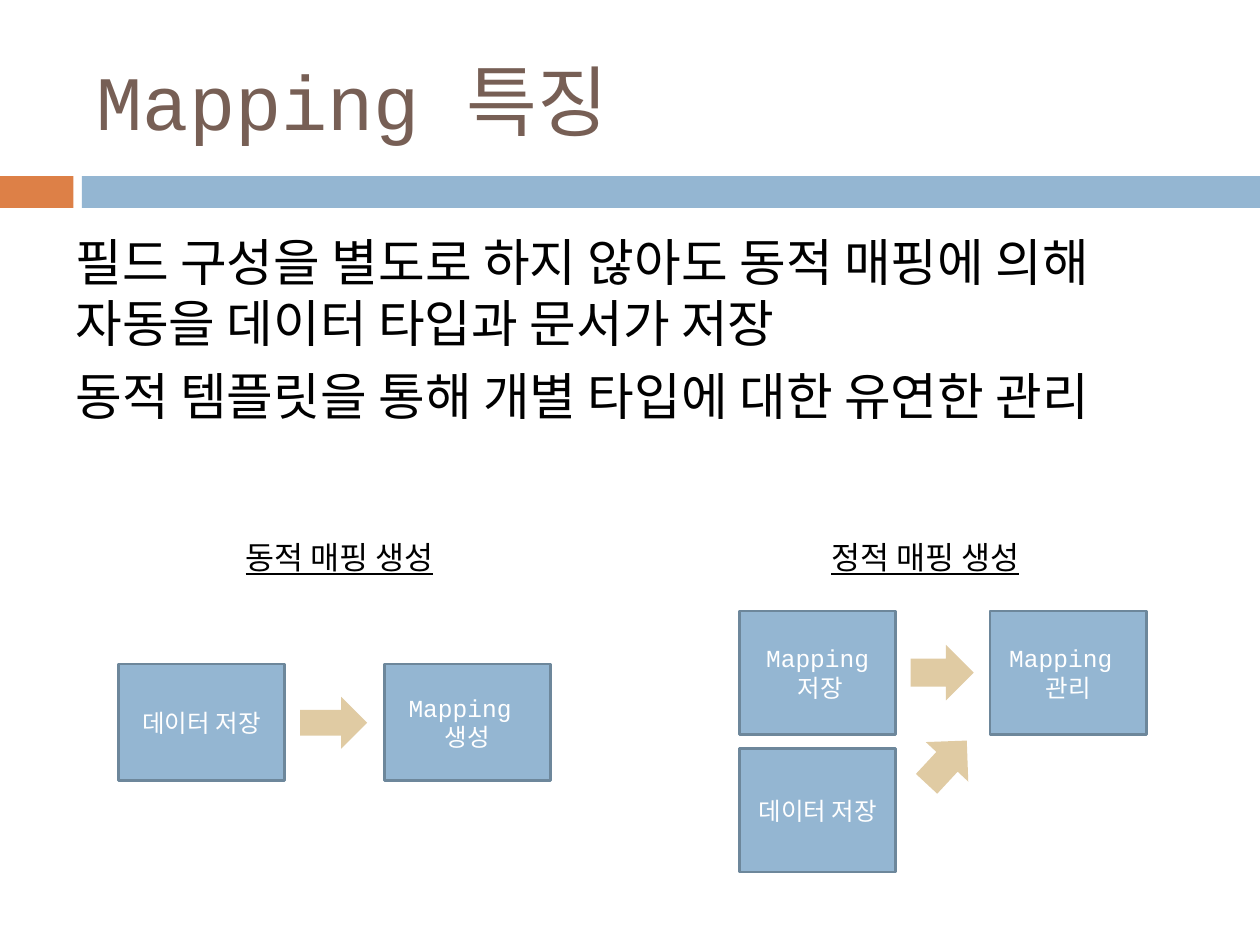
from dataclasses import dataclass
from typing import Any

from pptx import Presentation
from pptx import util as u
from pptx.dml.color import RGBColor
from pptx.enum import shapes, text


def rgb(value):
    return RGBColor.from_string(value)


@dataclass
class Deck:
    """Hold the style and the current slide, and draw each kind of element."""

    s: Any
    font: str = "Courier New"
    blue: str = "94B6D2"
    edge: str = "6D879B"
    orange: str = "DD8047"
    sand: str = "E0CBA3"
    brown: str = "775F55"

    def set_text(self, sp, lines, size, color, align, anchor, before=0, underline=None):
        tf = sp.text_frame
        tf.word_wrap = True
        tf.vertical_anchor = anchor
        for i, line in enumerate(lines):
            p = tf.paragraphs[0] if i == 0 else tf.add_paragraph()
            p.text = line
            p.alignment = align
            p.space_before = u.Pt(before)
            p.font.name = self.font
            p.font.size = u.Pt(size)
            p.font.underline = underline
            p.font.color.rgb = rgb(color)

    def shape(self, parent, kind, at, fill):
        sp = parent.shapes.add_shape(kind, *map(u.Cm, at))
        sp.shadow.inherit = False
        sp.fill.solid()
        sp.fill.fore_color.rgb = rgb(fill)
        sp.line.fill.background()
        return sp

    def bar(self, at, fill):
        self.shape(self.s, shapes.MSO_SHAPE.RECTANGLE, at, fill)

    def box(self, group, at, lines):
        sp = self.shape(group, shapes.MSO_SHAPE.RECTANGLE, at, self.blue)
        sp.line.color.rgb = rgb(self.edge)
        sp.line.width = u.Pt(1.5)
        self.set_text(sp, lines, 14, "FFFFFF", text.PP_ALIGN.CENTER, text.MSO_ANCHOR.MIDDLE)

    def arrow(self, group, at, rotation=0):
        sp = self.shape(group, shapes.MSO_SHAPE.RIGHT_ARROW, at, self.sand)
        sp.rotation = rotation

    def label(self, at, lines, size, color="000000", align=text.PP_ALIGN.LEFT,
              anchor=text.MSO_ANCHOR.TOP, **style):
        sp = self.s.shapes.add_textbox(*map(u.Cm, at))
        self.set_text(sp, lines, size, color, align, anchor, **style)

    def caption(self, left, line):
        self.label((left, 10.72, 5.31, 1.02), [line], 18,
                   align=text.PP_ALIGN.CENTER, underline=True)

    def group(self):
        return self.s.shapes.add_group_shape()


def main():
    prs = Presentation()
    prs.slide_width, prs.slide_height = u.Cm(25.4), u.Cm(19.05)
    d = Deck(prs.slides.add_slide(prs.slide_layouts[6]))

    d.bar((0, 3.55, 1.48, 0.64), d.orange)
    d.bar((1.65, 3.55, 23.75, 0.64), d.blue)
    d.label((1.7, 0.64, 22.66, 2.74), ["Mapping 특징"], 44, d.brown,
            anchor=text.MSO_ANCHOR.MIDDLE)
    d.label((1.27, 4.52, 22.86, 5.59),
            ["필드 구성을 별도로 하지 않아도 동적 매핑에 의해 자동을 데이터 타입과 문서가 저장",
             "동적 템플릿을 통해 개별 타입에 대한 유연한 관리"], 29, before=7)

    dynamic = d.group()
    for left, lines in ((2.39, ["데이터 저장"]), (7.75, ["Mapping ", "생성"])):
        d.box(dynamic, (left, 13.39, 3.35, 2.34), lines)
    d.arrow(dynamic, (6.05, 14.05, 1.35, 1.04))

    static = d.group()
    for left, top, lines in ((14.91, 12.32, ["Mapping", " 저장"]),
                             (19.96, 12.32, ["Mapping ", "관리"]),
                             (14.91, 15.09, ["데이터 저장"])):
        d.box(static, (left, top, 3.15, 2.49), lines)
    d.arrow(static, (18.36, 13, 1.27, 1.12))
    d.arrow(static, (18.49, 14.78, 1.19, 1.17), 312.9)

    d.caption(4.19, "동적 매핑 생성")
    d.caption(16, "정적 매핑 생성")
    prs.save("out.pptx")


if __name__ == "__main__":
    main()
